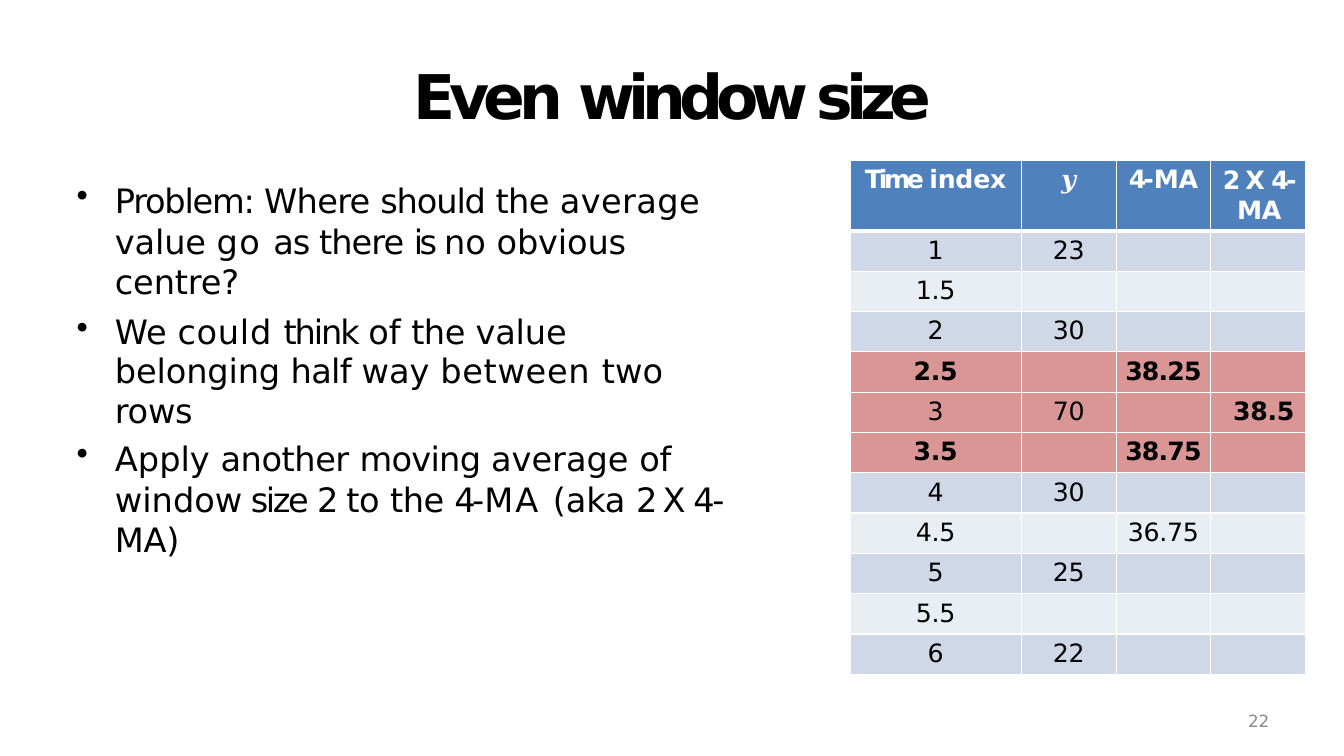
import pptx
import pptx.util
import pptx.dml.color
import pptx.enum.text
import pptx.oxml
import lxml.etree

Inches, Pt = pptx.util.Inches, pptx.util.Pt
CENTER = pptx.enum.text.PP_ALIGN.CENTER
NS = "http://schemas.openxmlformats.org/drawingml/2006/main"
COLORS = {"text": "000000", "light": "FFFFFF", "number": "898989", "head": "4F81BD",
          "odd": "D0D8E8", "even": "E9EDF4", "mark": "D99694"}


def write(para, parts, size, color, bold=False, font="DejaVu Sans"):
    """Fill a paragraph with (text, letter spacing in points) runs."""
    for text, gap in parts:
        run = para.add_run()
        run.text = text
        run.font.name = font
        run.font.size = Pt(size)
        run.font.bold = bold
        run.font.color.rgb = pptx.dml.color.RGBColor.from_string(COLORS[color])
        run._r.get_or_add_rPr().set("spc", str(round(gap * 100)))


def add_box(left, top, width, height):
    frame = slide.shapes.add_textbox(Inches(left), Inches(top), Inches(width), Inches(height)).text_frame
    frame.word_wrap = True
    frame.margin_left = frame.margin_right = frame.margin_bottom = 0
    frame.margin_top = Inches(0.01)
    return frame


deck = pptx.Presentation()
deck.slide_width, deck.slide_height = Inches(13.33), Inches(7.5)
slide = deck.slides.add_slide(deck.slide_layouts[6])

# Title and slide number
title = add_box(4.1, 0.56, 8.46, 0.69)
write(title.paragraphs[0], [("Even ", -4.4), ("window size", -5)], 44, "text", True)
number = add_box(12.38, 7.04, 0.28, 0.23)
write(number.paragraphs[0], [("22", -0.2)], 12, "number")

# Bullets: line spacing, space before, runs
points = [
    (1.01, 0, [
        ("Problem: ", -0.9), ("Where ", -0.5), ("should ", -0.8), ("the ", -0.4),
        ("average ", 0.3), ("value ", -0.1), ("go ", 1), ("as there ", -0.7),
        ("is ", -2.6), ("no ", 0), ("obvious centre?", -0.1)]),
    (Pt(28.1), 7.5, [
        ("We ", 0), ("could ", 0.5), ("think ", -1.5), ("of ", 0), ("the ", -0.4),
        ("value belonging ", -0.1), ("half ", -0.5), ("way ", 0), ("between ", 0.5),
        ("two ", 0), ("rows", -0.2)]),
    (1.01, 5.2, [
        ("Apply ", 0), ("another ", -0.3), ("moving ", -0.5), ("average ", 0), ("of ", -0.2),
        ("window", 0), (" size ", -1.7), ("2 ", -2), ("to ", -0.2), ("the ", -0.4),
        ("4-", -2.5), ("MA ", 1.4), ("(aka ", -0.1), ("2 X ", -2), ("4- ", -1.7), ("MA)", -0.2)]),
]
body = add_box(0.75, 1.77, 6.58, 3.4)
for i, (line, before, parts) in enumerate(points):
    para = body.paragraphs[0] if i == 0 else body.add_paragraph()
    props = para._p.get_or_add_pPr()
    props.set("marL", str(Inches(0.39)))
    props.set("indent", str(Inches(-0.38)))
    lxml.etree.SubElement(props, f"{{{NS}}}buChar", char="•")
    para.line_spacing = line
    para.space_before = Pt(before)
    write(para, parts, 24, "text")

# Table: time index, y, 4-MA, 2 X 4-MA
heads = [[("Time ", -2.4), ("index", -0.2)], [("𝒚", -0.5)], [("4-", -2), ("MA", -0.2)],
         [("2 ", -2.7), ("X ", -1.6), ("4- ", -2), ("MA", -0.2)]]
rows = [("1", "23", "", ""), ("1.5", "", "", ""), ("2", "30", "", ""),
        ("2.5", "", "38.25", ""), ("3", "70", "", "38.5"), ("3.5", "", "38.75", ""),
        ("4", "30", "", ""), ("4.5", "", "36.75", ""), ("5", "25", "", ""),
        ("5.5", "", "", ""), ("6", "22", "", "")]
marked = ("2.5", "3", "3.5")
table = slide.shapes.add_table(len(rows) + 1, 4, Inches(8.43), Inches(1.59), Inches(4.52), Inches(5.1)).table
for col, width in zip(table.columns, (1.7, 0.94, 0.94, 0.94)):
    col.width = Inches(width)
for r, row in enumerate(table.rows):
    row.height = Inches(0.4 if r else 0.7)
    if r == 0:
        shade = "head"
    elif rows[r - 1][0] in marked:
        shade = "mark"
    else:
        shade = "odd" if r % 2 else "even"
    for c, cell in enumerate(row.cells):
        cell.margin_left = cell.margin_right = cell.margin_bottom = 0
        cell.margin_top = Inches(0.05)
        para = cell.text_frame.paragraphs[0]
        para.alignment = CENTER
        if r == 0:
            write(para, heads[c], 18, "light", c != 1, "Cambria" if c == 1 else "DejaVu Sans")
        elif rows[r - 1][c]:
            text = rows[r - 1][c]
            bold = shade == "mark" and "." in text
            write(para, [(text, -0.6 if bold and c == 2 else -0.2)], 18, "text", bold)
        else:
            para.font.size = Pt(18)
        if c == 3:
            para.alignment = pptx.enum.text.PP_ALIGN.LEFT
            props = para._p.get_or_add_pPr()
            props.set("marL", str(Inches(0.22 if r else 0.26)))
            if r == 0:
                props.set("indent", str(Inches(-0.14)))
                para.line_spacing = Pt(21.1)
                cell.margin_top = Inches(0.06)
        edges = cell._tc.get_or_add_tcPr()
        for side in ("L", "R", "T", "B"):
            thick = (r == 0 and side == "B") or (r == 1 and side == "T")
            edges.append(pptx.oxml.parse_xml(
                f'<a:ln{side} xmlns:a="{NS}" w="{Pt(3 if thick else 1)}"><a:solidFill>'
                f'<a:srgbClr val="{COLORS["light"]}"/></a:solidFill></a:ln{side}>'))
        cell.fill.solid()
        cell.fill.fore_color.rgb = pptx.dml.color.RGBColor.from_string(COLORS[shade])

deck.save("out.pptx")
